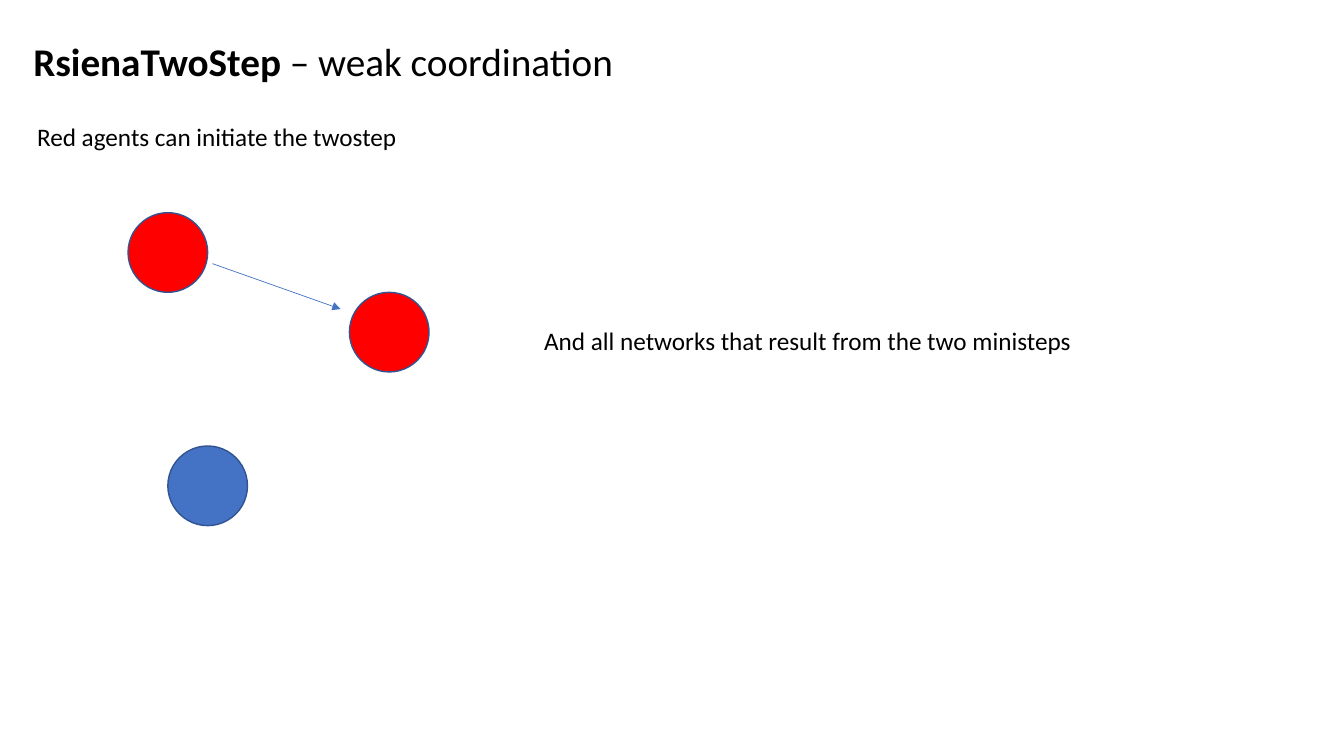
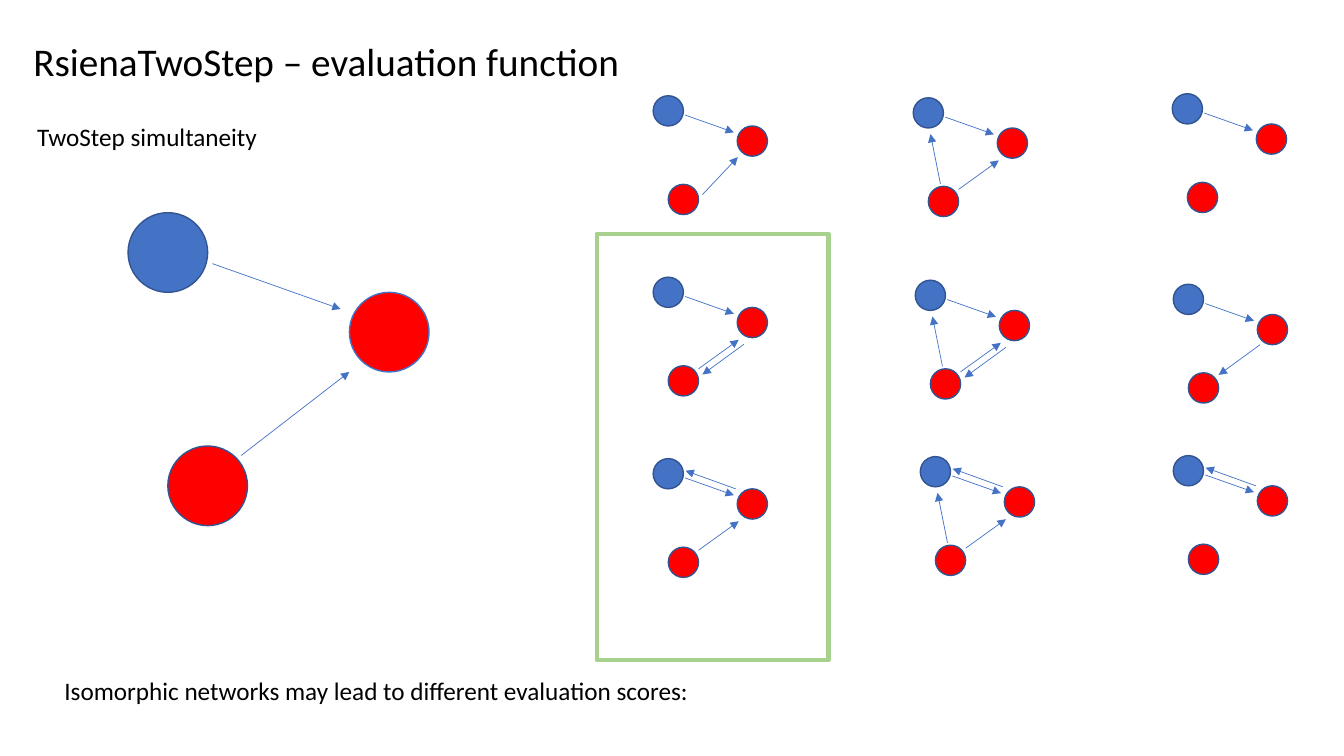
"""Builds two slides on two-step coordination in networks, laid out on a grid of 40 columns."""
from lxml.etree import SubElement
from pptx import Presentation
from pptx.dml.color import RGBColor
from pptx.enum.shapes import MSO_CONNECTOR, MSO_SHAPE
from pptx.enum.text import MSO_ANCHOR, MSO_AUTO_SIZE, PP_ALIGN
from pptx.oxml.ns import qn
from pptx.util import Inches, Pt

RED, BLUE, RIM, GREEN, BLACK = "FF0000", "4472C4", "325491", "A9D18E", "000000"


def paint(fill, hex_colour):
    fill.solid()
    fill.fore_color.rgb = RGBColor.from_string(hex_colour)


def write(box, text, lead="", size=18, colour=BLACK, font="Calibri"):
    frame = box.text_frame
    frame.word_wrap = True
    frame.auto_size = MSO_AUTO_SIZE.NONE
    frame.vertical_anchor = MSO_ANCHOR.TOP
    paragraph = frame.paragraphs[0]
    paragraph.alignment = PP_ALIGN.LEFT
    for part, bold in ((lead, True), (text, False)):
        if part:
            run = paragraph.add_run()
            run.text = part
            run.font.name, run.font.size, run.font.bold = font, Pt(size), bold
            paint(run.font.fill, colour)


deck = Presentation()
deck.slide_width, deck.slide_height = Inches(13.333), Inches(7.5)
cell = deck.slide_width / 40

layout = deck.slide_layouts[5]
heading = layout.placeholders[0]
heading.left, heading.top = int(0.69 * cell), int(0.96 * cell)
heading.width, heading.height = int(39.3 * cell), int(1.71 * cell)

coordination, evaluation = [deck.slides.add_slide(layout) for _ in range(2)]
write(coordination.shapes.title, " – weak coordination", lead="RsienaTwoStep", size=28)
write(evaluation.shapes.title, "RsienaTwoStep – evaluation function", size=28)

for slide, left, top, width, text in (
    (coordination, 15.9, 9.54, 19.11, "And all networks that result from the two ministeps"),
    (coordination, 0.81, 3.45, 18.6, "Red agents can initiate the twostep"),
    (evaluation, 0.81, 3.45, 18.6, "TwoStep simultaneity"),
    (evaluation, 1.62, 19.95, 38, "Isomorphic networks may lead to different evaluation scores:"),
):
    box = slide.shapes.add_textbox(*[int(n * cell) for n in (left, top, width, 1.2)])
    write(box, text)

# positions within a network are counted in agent diameters
agents = ((0, 0), (0.5, 2.93), (2.78, 1))
ties = {
    "top to right": (1.06, 0.64, 2.67, 1.21),
    "right to top": (2.73, 1, 1.07, 0.4),
    "low to top": (0.9, 2.85, 0.57, 1.2),
    "low to right": (1.5, 3.03, 2.83, 2.07),
    "low to right, large": (1.42, 3.05, 2.78, 2),
    "low to right, steep": (1.63, 3.27, 2.8, 2.03),
    "right to low": (2.87, 2, 1.5, 3),
    "right to low, paired": (3, 2.22, 1.63, 3.22),
}
one_blue = (BLUE, RED, RED)
networks = [
    (coordination, 3.81, 6.33, 2.37, (RED, BLUE, RED), RIM, ["top to right"]),
    (evaluation, 3.81, 6.33, 2.37, one_blue, BLUE, ["top to right", "low to right, large"]),
]
outcomes = (
    ((0, 0, ["low to right, steep"]),
     (0, 0.06, ["low to right", "low to top"]),
     (-0.03, -0.06, [])),
    ((0, 0, ["low to right", "right to low, paired"]),
     (0.06, 0.09, ["low to right", "low to top", "right to low, paired"]),
     (0, 0.21, ["right to low"])),
    ((0, 0, ["right to top", "low to right"]),
     (0.21, -0.06, ["right to top", "low to top", "low to right"]),
     (0, -0.09, ["right to top"])),
)
for row, outcome_row in enumerate(outcomes):
    for column, (shift_x, shift_y, extra_ties) in enumerate(outcome_row):
        networks.append((evaluation, 19.44 + 7.74 * column + shift_x, 2.85 + 5.4 * row + shift_y,
                         0.9, one_blue, RIM, ["top to right"] + extra_ties))

for slide, left, top, diameter, fills, right_rim, tie_names in networks:
    for (x, y), fill, rim in zip(agents, fills, (RIM, RIM, right_rim)):
        agent = slide.shapes.add_shape(MSO_SHAPE.OVAL, *[int(n * cell) for n in (
            left + x * diameter, top + y * diameter, diameter, diameter)])
        agent.shadow.inherit = False
        paint(agent.fill, fill)
        paint(agent.line.fill, rim)
        agent.line.width = Pt(1)
    for name in tie_names:
        ends = [int((start + n * diameter) * cell)
                for start, n in zip((left, top, left, top), ties[name])]
        tie = slide.shapes.add_connector(MSO_CONNECTOR.STRAIGHT, *ends)
        paint(tie.line.fill, BLUE)
        tie.line.width = Pt(0.5)
        properties = tie._element.spPr
        SubElement(properties.find(qn("a:ln")), qn("a:tailEnd"), type="triangle")
        SubElement(properties, qn("a:effectLst"))

isomorphic_frame = evaluation.shapes.add_shape(
    MSO_SHAPE.RECTANGLE, *[int(n * cell) for n in (17.76, 6.96, 6.9, 12.69)])
isomorphic_frame.shadow.inherit = False
isomorphic_frame.fill.background()
paint(isomorphic_frame.line.fill, GREEN)
isomorphic_frame.line.width = Pt(3)

deck.save("out.pptx")
